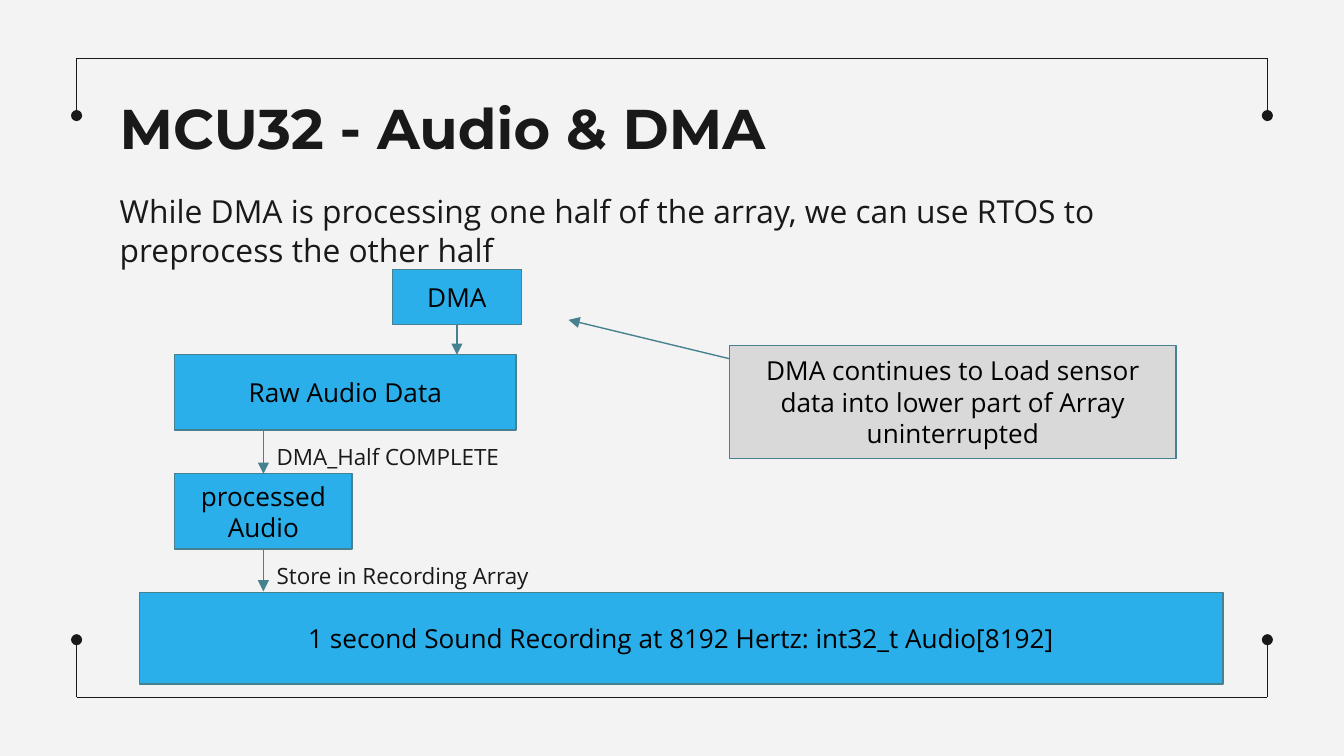
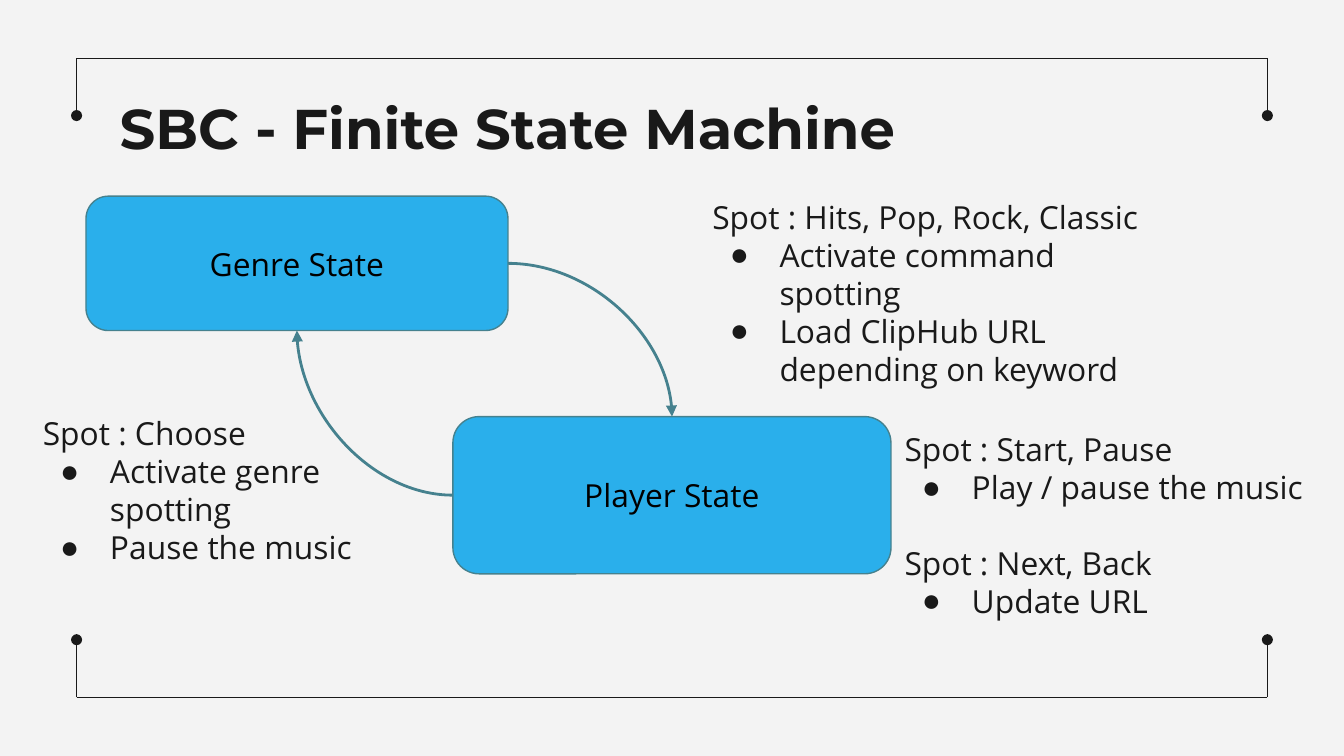
from dataclasses import dataclass

from lxml.etree import SubElement
from pptx import Presentation
from pptx.dml.color import RGBColor as RGB
from pptx.enum.shapes import MSO_CONNECTOR as LINK, MSO_SHAPE as SHAPE
from pptx.enum.text import MSO_ANCHOR as ANCHOR, MSO_AUTO_SIZE as FIT, PP_ALIGN as ALIGN
from pptx.oxml.ns import qn
from pptx.util import Inches, Pt

COLUMNS = 100
TOP, LEFT, BOTTOM, RIGHT = range(4)


@dataclass(frozen=True)
class Theme:
    """Colours, fonts and type sizes of the deck."""
    paper: str = "F3F3F3"
    ink: str = "191919"
    black: str = "000000"
    block: str = "2AAFEB"
    note: str = "D9D9D9"
    edge: str = "45818E"
    heading_font: str = "Montserrat"
    text_font: str = "Open Sans"
    bullet_font: str = "Arial"
    heading: int = 30
    body: int = 17
    label: int = 14
    caption: int = 12
    thin: float = 0.75
    thick: float = 1.5


def put_text(frame, text, *, size, color, font, bold=False, align=ALIGN.LEFT, bullet=None, gap=0):
    """Add one formatted paragraph, with a bullet if its font is given."""
    first = frame.paragraphs[0]
    paragraph = first if not first.runs else frame.add_paragraph()
    properties = paragraph._p.get_or_add_pPr()
    properties.set("marL", str(Inches(0.5) if bullet else 0))
    properties.set("indent", str(Inches(-0.37) if bullet else 0))
    if bullet:
        tint = SubElement(properties, qn("a:buClr"))
        SubElement(tint, qn("a:srgbClr"), val=color)
        SubElement(properties, qn("a:buFont"), typeface=bullet)
        SubElement(properties, qn("a:buChar"), char="●")
    else:
        SubElement(properties, qn("a:buNone"))
    paragraph.alignment = align
    paragraph.space_before = Pt(gap)
    run = paragraph.add_run()
    run.text = text
    run.font.size, run.font.name, run.font.bold = Pt(size), font, bold
    run.font.color.rgb = RGB.from_string(color)


class Deck:
    """Draws elements on the current slide, on a grid of square cells."""

    def __init__(self, theme):
        """Set up the slide size and the shared background."""
        self.theme = theme
        self.show = Presentation()
        self.show.slide_width = Inches(10)
        self.show.slide_height = self.show.slide_width * 9 // 16
        self.cell = self.show.slide_width / COLUMNS
        fill = self.show.slide_master.background.fill
        fill.solid()
        fill.fore_color.rgb = RGB.from_string(theme.paper)

    def grid(self, *cells):
        """Turn grid cells into slide lengths."""
        return [round(cell * self.cell) for cell in cells]

    def start(self, title, layout):
        """Open a slide with its frame and title."""
        self.slide = self.show.slides.add_slide(self.show.slide_layouts.get_by_name(layout))
        self.shapes = self.slide.shapes
        self.free_bodies = [p for p in self.slide.placeholders if p.placeholder_format.idx > 0]
        heading = self.shapes.title
        self.place(heading, (7.9, 5.95, 84.3, 6.3))
        put_text(heading.text_frame, title, size=self.theme.heading, color=self.theme.ink,
                 font=self.theme.heading_font, bold=True)
        self.frame()

    def frame(self):
        """Draw the two brackets with dotted ends."""
        left, right = 5.7, 94.3
        for rail, end in ((4.35, 8.6), (51.9, 47.6)):
            self.line((left, rail), (right, rail), color=self.theme.ink, tip=None)
            for side in (left, right):
                self.line((side, rail), (side, end), color=self.theme.ink, tip="oval")

    def place(self, shape, box, anchor=ANCHOR.TOP):
        """Position a text holder and set its margins."""
        shape.left, shape.top, shape.width, shape.height = self.grid(*box)
        frame = shape.text_frame
        frame.auto_size, frame.word_wrap, frame.vertical_anchor = FIT.NONE, True, anchor
        frame.margin_left = frame.margin_right = frame.margin_top = frame.margin_bottom = Inches(0.1)

    def passage(self, box, *groups, size=None, body=True):
        """Write groups of a lead line and its bullets."""
        holder = self.free_bodies.pop(0) if body and self.free_bodies else self.shapes.add_textbox(0, 0, 0, 0)
        self.place(holder, box)
        style = dict(size=size or self.theme.body, color=self.theme.ink, font=self.theme.text_font)
        for index, (lead, *points) in enumerate(groups):
            put_text(holder.text_frame, lead, gap=20 if index else 0, **style)
            for point in points:
                put_text(holder.text_frame, point, bullet=self.theme.bullet_font, **style)

    def caption(self, box, text):
        """Write a small label beside an arrow."""
        self.passage(box, [text], size=self.theme.caption, body=False)

    def block(self, box, text, *, kind=SHAPE.RECTANGLE, fill=None, size=None):
        """Draw a filled box with a centred label."""
        block = self.shapes.add_shape(kind, 0, 0, 0, 0)
        self.place(block, box, ANCHOR.MIDDLE)
        block.shadow.inherit = False
        block.fill.solid()
        block.fill.fore_color.rgb = RGB.from_string(fill or self.theme.block)
        block.line.color.rgb = RGB.from_string(self.theme.edge)
        block.line.width = Pt(self.theme.thin)
        put_text(block.text_frame, text, size=size or self.theme.label, color=self.theme.black,
                 font=self.theme.text_font, align=ALIGN.CENTER)
        return block

    def line(self, start, end, *, color=None, tip="triangle", width=None, kind=LINK.STRAIGHT,
             source=None, target=None):
        """Draw a connector, joined to (shape, side) pairs where given."""
        line = self.shapes.add_connector(kind, *self.grid(*start, *end))
        if source:
            line.begin_connect(*source)
        if target:
            line.end_connect(*target)
        line.line.color.rgb = RGB.from_string(color or self.theme.edge)
        line.line.width = Pt(width or self.theme.thin)
        outline = line._element.spPr
        if kind == LINK.CURVE:
            outline.find(qn("a:prstGeom")).set("prst", "curvedConnector2")
        if tip:
            SubElement(outline.find(qn("a:ln")), qn("a:tailEnd"), type=tip)
        SubElement(outline, qn("a:effectLst"))


def audio_slide(deck):
    """Show how audio moves from DMA into the recording."""
    deck.start("MCU32 - Audio & DMA", "Title and Content")
    deck.passage((7.9, 13.3, 84.3, 7.2),
                 ["While DMA is processing one half of the array, we can use RTOS to "
                  "preprocess the other half"])
    deck.block((10.4, 44.1, 80.6, 6.8), "1 second Sound Recording at 8192 Hertz: int32_t Audio[8192]")
    deck.block((13, 26.4, 25.4, 5.6), "Raw Audio Data")
    dma = deck.block((29.2, 20.05, 9.6, 4.1), "DMA")
    processed = deck.block((13, 35.25, 13.2, 5.6), "processed Audio")
    deck.block((54.3, 25.7, 33.2, 8.4), fill=deck.theme.note,
               text="DMA continues to Load sensor data into lower part of Array uninterrupted")
    deck.line((34, 24.1), (34, 26.4), source=(dma, BOTTOM))
    deck.line((19.6, 32), (19.6, 35.2), target=(processed, TOP))
    deck.line((19.6, 40.8), (19.6, 44), source=(processed, BOTTOM))
    deck.line((54.3, 26.7), (42.3, 23.8))
    deck.caption((19.6, 32, 24.5, 3.2), "DMA_Half COMPLETE")
    deck.caption((19.6, 40.8, 24.5, 3.2), "Store in Recording Array")


def state_slide(deck):
    """Show the two states and the words that switch them."""
    deck.start("SBC - Finite State Machine", "Two Content")
    rounded = dict(kind=SHAPE.ROUNDED_RECTANGLE, size=deck.theme.body)
    genre = deck.block((6.4, 14.6, 31.4, 10), "Genre State", **rounded)
    player = deck.block((33.7, 31, 32.6, 11.7), "Player State", **rounded)
    curve = dict(kind=LINK.CURVE, width=deck.theme.thick)
    deck.line((37.8, 19.6), (50, 31), source=(genre, RIGHT), target=(player, TOP), **curve)
    deck.line((33.7, 36.9), (22.1, 24.6), source=(player, LEFT), target=(genre, BOTTOM), **curve)
    deck.passage((52, 13.7, 35, 13),
                 ["Spot : Hits, Pop, Rock, Classic", "Activate command spotting",
                  "Load ClipHub URL depending on keyword"])
    deck.passage((66.3, 31, 33.5, 21.2),
                 ["Spot : Start, Pause", "Play / pause the music"],
                 ["Spot : Next, Back", "Update URL"])
    deck.passage((2.2, 29.8, 30.4, 14.2),
                 ["Spot : Choose", "Activate genre spotting", "Pause the music"])


def main():
    """Build the deck and save it."""
    deck = Deck(Theme())
    audio_slide(deck)
    state_slide(deck)
    deck.show.save("out.pptx")


if __name__ == "__main__":
    main()
